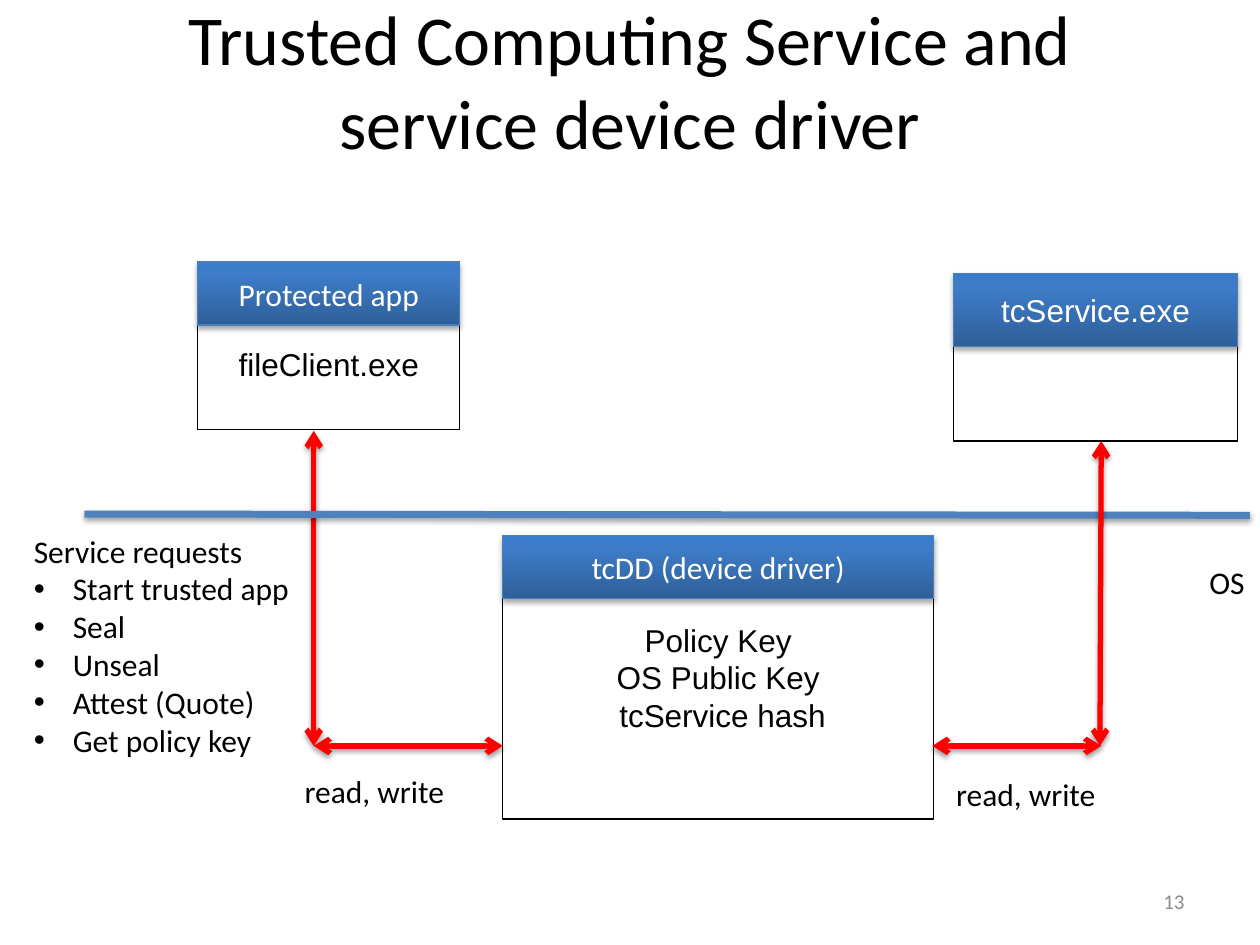
from dataclasses import dataclass

from lxml import etree
from pptx import Presentation
from pptx import util as u
from pptx.dml.color import RGBColor
from pptx.enum import shapes, text
from pptx.oxml import ns

PX = 9144


@dataclass(frozen=True)
class Theme:
    sans: str = "Calibri"
    plain: str = "Arial"
    ink: str = "000000"
    white: str = "FFFFFF"
    grey: str = "8C8C8C"
    red: str = "FF0000"
    blue: str = "4F81BD"
    edge: str = "4B7EBC"
    grad: tuple = ((0, "2F5F99"), (80, "3D7CC7"), (100, "3A7CCB"))
    title: int = 40
    body: int = 18
    small: int = 12


def px(*vals):
    return [u.Emu(v * PX) for v in vals]


def put(obj, **vals):
    for name, val in vals.items():
        setattr(obj, name, val)


def add(node, tag, **vals):
    return etree.SubElement(node, ns.qn(tag), {k: str(v) for k, v in vals.items()})


def tint(color, value):
    color.rgb = RGBColor.from_string(value)


class Board:
    def __init__(self, slide, theme):
        self.slide, self.theme = slide, theme

    def fill_text(self, shape, lines, face=None, size=None, color=None,
                  align=text.PP_ALIGN.LEFT, bullets=False, **frame):
        t = self.theme
        tf = shape.text_frame
        tf.text = "\n".join(lines)
        put(tf, **{"word_wrap": True, **frame})
        for i, para in enumerate(tf.paragraphs):
            para.alignment = align
            if bullets and i:
                props = para._p.get_or_add_pPr()
                for name, val in {"marL": 31, "indent": -31}.items():
                    props.set(name, str(val * PX))
                add(props, "a:buFont", typeface=t.plain)
                add(props, "a:buChar", char="•")
            for run in para.runs:
                put(run.font, name=face or t.sans, size=u.Pt(size or t.body))
                tint(run.font.color, color or t.ink)

    def title(self, box, lines):
        shape = self.slide.shapes.title
        put(shape, **dict(zip(("left", "top", "width", "height"), px(*box))))
        self.fill_text(shape, lines, size=self.theme.title,
                       align=text.PP_ALIGN.CENTER,
                       vertical_anchor=text.MSO_ANCHOR.MIDDLE,
                       auto_size=text.MSO_AUTO_SIZE.NONE)

    def label(self, box, lines, **style):
        shape = self.slide.shapes.add_textbox(*px(*box))
        fit = text.MSO_AUTO_SIZE.SHAPE_TO_FIT_TEXT
        self.fill_text(shape, lines, **{"auto_size": fit, **style})

    def shade(self, props, alpha, dist):
        fx = props.find(ns.qn("a:effectLst"))
        if fx is None:
            fx = add(props, "a:effectLst")
        cast = add(fx, "a:outerShdw", blurRad=u.Pt(3.1), dist=u.Pt(dist),
                   dir=5400000, rotWithShape=0)
        add(add(cast, "a:srgbClr", val=self.theme.ink), "a:alpha", val=alpha * 1000)

    def rect(self, box, edge):
        shape = self.slide.shapes.add_shape(shapes.MSO_SHAPE.RECTANGLE, *px(*box))
        shape.shadow.inherit = False
        shape.line.width = u.Pt(0.75)
        tint(shape.line.color, edge)
        return shape

    def card(self, box, band, head, lines=(), face=None, top=10):
        t = self.theme
        mid = {"align": text.PP_ALIGN.CENTER,
               "vertical_anchor": text.MSO_ANCHOR.MIDDLE}
        body = self.rect(box, t.ink)
        body.fill.solid()
        tint(body.fill.fore_color, t.white)
        if lines:
            inset, upper = px(10, top)
            self.fill_text(body, lines, face=t.plain, margin_left=inset,
                           margin_right=inset, margin_top=upper,
                           margin_bottom=inset, **mid)
        bar = self.rect((*box[:3], band), t.edge)
        bar.fill.gradient()
        bar.fill.gradient_angle = 90
        stops = bar._element.spPr.find(".//" + ns.qn("a:gsLst"))
        for stop in list(stops):
            stops.remove(stop)
        for pos, color in t.grad:
            add(add(stops, "a:gs", pos=pos * 1000), "a:srgbClr", val=color)
        self.shade(bar._element.spPr, 35, 1.8)
        self.fill_text(bar, [head], face=face, color=t.white, **mid)

    def line(self, ends, color, width, arrows=False):
        link = self.slide.shapes.add_connector(
            shapes.MSO_CONNECTOR.STRAIGHT, *px(*ends))
        link.line.width = u.Pt(width)
        tint(link.line.color, color)
        if arrows:
            stroke = link._element.spPr.find(ns.qn("a:ln"))
            for tag in ("a:headEnd", "a:tailEnd"):
                add(stroke, tag, type="arrow")
        self.shade(link._element.spPr, 38, 1.6)

    def arrow(self, *ends):
        self.line(ends, self.theme.red, 3, arrows=True)


def main():
    deck = Presentation()
    put(deck, slide_width=u.Inches(10), slide_height=u.Inches(7.5))
    t = Theme()
    b = Board(deck.slides.add_slide(deck.slide_layouts[5]), t)

    b.title((25, 17, 950, 92),
            ["Trusted Computing Service and", "service device driver"])
    b.card((399, 425, 342, 225), 50, "tcDD (device driver)",
           ["Policy Key", "OS Public Key", " tcService hash"])
    b.arrow(249, 342, 249, 592)
    b.line((67, 408, 992, 409), t.blue, 4)
    b.card((157, 208, 208, 133), 50, "Protected app", ["fileClient.exe"], top=39)
    b.card((757, 217, 225, 133), 58, "tcService.exe", face=t.plain)
    b.arrow(874, 350, 873, 592)
    b.arrow(399, 592, 249, 592)
    b.arrow(874, 592, 740, 592)

    b.label((17, 417, 233, 192),
            ["Service requests", "Start trusted app", "Seal", "Unseal",
             "Attest (Quote)", "Get policy key"], bullets=True)
    for left, top in ((232, 608), (749, 610)):
        b.label((left, top, 167, 40), ["read, write"])
    b.label((950, 442, 50, 42), ["OS"])
    b.label((717, 695, 233, 40), ["13"], size=t.small, color=t.grey,
            align=text.PP_ALIGN.RIGHT, auto_size=text.MSO_AUTO_SIZE.NONE,
            vertical_anchor=text.MSO_ANCHOR.MIDDLE)
    deck.save("out.pptx")


if __name__ == "__main__":
    main()
